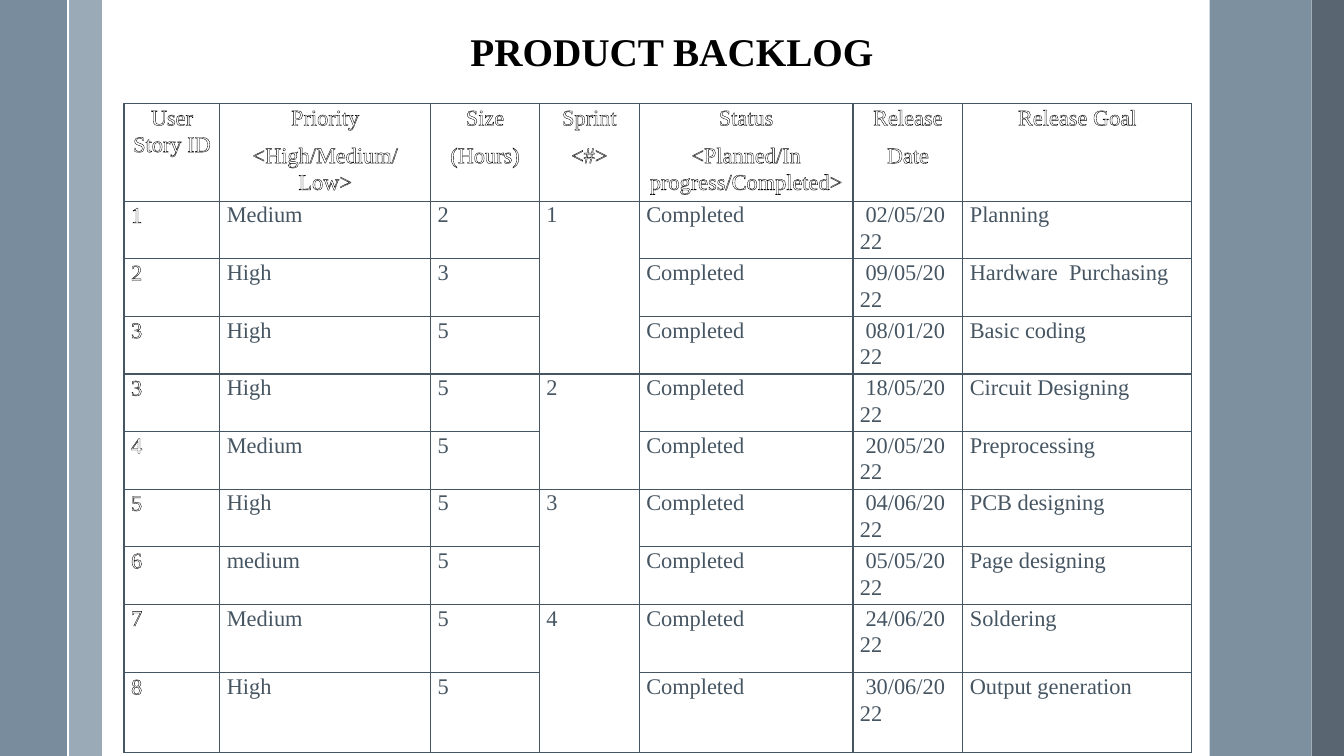
from dataclasses import dataclass
from itertools import groupby

from lxml.etree import SubElement
from pptx import Presentation
from pptx.dml.color import RGBColor
from pptx.enum.shapes import MSO_CONNECTOR, MSO_SHAPE
from pptx.enum.text import MSO_AUTO_SIZE, PP_ALIGN
from pptx.oxml.ns import qn
from pptx.slide import Slide
from pptx.table import Table, _Cell
from pptx.text.text import _Paragraph
from pptx.util import Inches, Pt

WIDTH, HEIGHT = Inches(13.33), Inches(7.5)
FONT = "Times New Roman"
WHITE, BLACK, SLATE = "FFFFFF", "000000", "465562"
HARD_SPACE = chr(160)  # keeps each date on the line it starts


@dataclass
class Band:
    left: float
    width: float
    color: str
    opacity: int = 100


@dataclass
class Column:
    heading: str
    width: float


@dataclass
class Story:
    number: str
    priority: str
    hours: str
    sprint: str
    release: str
    goal: str
    height: float = 7.62


# Widths, heights and positions are percentages of the slide
BANDS = [
    Band(5.1, 2.48, "9BAAB7"),
    Band(0, 5.03, "6A8093", 90),
    Band(90, 7.58, "6A8093", 87),
    Band(97.6, 2.48, "475562", 90),
]
COLUMNS = [
    Column("User Story ID", 7.13),
    Column("Priority\n<High/Medium/Low>", 15.68),
    Column("Size\n(Hours)", 8.1),
    Column("Sprint\n<#>", 7.43),
    Column("Status\n<Planned/In progress/Completed>", 15.9),
    Column("Release\nDate", 8.18),
    Column("Release Goal", 17.03),
]
HEADING_HEIGHT = 12.87
SPRINT_COLUMN = 3
STORIES = [
    Story("1", "Medium", "2", "1", "02/05/2022", "Planning"),
    Story("2", "High", "3", "1", "09/05/2022", "Hardware  Purchasing"),
    Story("3", "High", "5", "1", "08/01/2022", "Basic coding"),
    Story("3", "High", "5", "2", "18/05/2022", "Circuit Designing"),
    Story("4", "Medium", "5", "2", "20/05/2022", "Preprocessing"),
    Story("5", "High", "5", "3", "04/06/2022", "PCB designing"),
    Story("6", "medium", "5", "3", "05/05/2022", "Page designing"),
    Story("7", "Medium", "5", "4", "24/06/2022", "Soldering", 9.07),
    Story("8", "High", "5", "4", "30/06/2022", "Output generation", 10.53),
]


def across(percent: float) -> int:
    return round(WIDTH * percent / 100)


def down(percent: float) -> int:
    return round(HEIGHT * percent / 100)


def rgb(color: str) -> RGBColor:
    return RGBColor.from_string(color)


def style_text(para: _Paragraph, size: float, color: str, bold: bool = False) -> None:
    for span in para.runs:
        span.font.name = FONT
        span.font.size = Pt(size)
        span.font.bold = bold
        span.font.color.rgb = rgb(color)


def add_line_xml(parent, tag: str, points: float, color: str):
    line = SubElement(parent, qn(tag), w=str(Pt(points)))
    SubElement(SubElement(line, qn("a:solidFill")), qn("a:srgbClr"), val=color)
    return line


def draw_band(page: Slide, band: Band) -> None:
    shape = page.shapes.add_shape(
        MSO_SHAPE.RECTANGLE, across(band.left), 0, across(band.width), HEIGHT)
    shape.shadow.inherit = False
    shape.line.fill.background()
    shape.fill.solid()
    shape.fill.fore_color.rgb = rgb(band.color)
    if band.opacity < 100:
        tone = shape._element.spPr.find(".//" + qn("a:srgbClr"))
        SubElement(tone, qn("a:alpha"), val=str(band.opacity * 1000))


def draw_divider(page: Slide, left: float) -> None:
    divider = page.shapes.add_connector(
        MSO_CONNECTOR.STRAIGHT, across(left), 0, across(left), HEIGHT)
    divider.line.color.rgb = rgb(WHITE)
    divider.line.width = Pt(1.5)
    SubElement(divider._element.spPr, qn("a:effectLst"))


def draw_title(page: Slide, text: str) -> None:
    box = page.shapes.add_textbox(across(28.53), down(2.97), across(42.91), down(7.6))
    frame = box.text_frame
    frame.word_wrap = True
    frame.auto_size = MSO_AUTO_SIZE.SHAPE_TO_FIT_TEXT
    frame.text = text
    para = frame.paragraphs[0]
    para.alignment = PP_ALIGN.CENTER
    style_text(para, 28, BLACK, bold=True)


def fill_cell(cell: _Cell, text: str, outlined: bool, centred: bool) -> None:
    cell.margin_left = cell.margin_right = Inches(0.07)
    cell.margin_top = cell.margin_bottom = 0
    # Borders come before the fill in the cell's properties
    for side in "LRTB":
        add_line_xml(cell._tc.get_or_add_tcPr(), f"a:ln{side}", 1, SLATE)
    cell.fill.solid()
    cell.fill.fore_color.rgb = rgb(WHITE)
    cell.text_frame.text = text
    for para in cell.text_frame.paragraphs:
        para.alignment = PP_ALIGN.CENTER if centred else PP_ALIGN.LEFT
        para.line_spacing = 1.07
        para.space_after = Pt(8)
        style_text(para, 16, WHITE if outlined else SLATE)
        if outlined:
            for span in para.runs:
                properties = span.font._element
                properties.insert(0, add_line_xml(properties, "a:ln", 0.75, BLACK))


def merge_sprints(table: Table) -> None:
    first = 1
    for _, group in groupby(STORIES, key=lambda story: story.sprint):
        last = first + len(list(group)) - 1
        table.cell(first, SPRINT_COLUMN).merge(table.cell(last, SPRINT_COLUMN))
        first = last + 1


def draw_backlog(page: Slide) -> None:
    heights = [HEADING_HEIGHT] + [story.height for story in STORIES]
    table = page.shapes.add_table(
        len(heights), len(COLUMNS), across(9.23), down(13.73),
        across(sum(column.width for column in COLUMNS)), down(sum(heights))).table
    table.first_row = table.horz_banding = False
    for place, column in zip(table.columns, COLUMNS):
        place.width = across(column.width)
    for place, height in zip(table.rows, heights):
        place.height = down(height)

    # Heading row
    for index, column in enumerate(COLUMNS):
        fill_cell(table.cell(0, index), column.heading, outlined=True, centred=True)

    # Story rows; a sprint's number stands only in its first row
    previous = ""
    for row, story in enumerate(STORIES, start=1):
        sprint = "" if story.sprint == previous else story.sprint
        previous = story.sprint
        texts = [story.number, story.priority, story.hours, sprint,
                 "Completed", HARD_SPACE + story.release, story.goal]
        for index, text in enumerate(texts):
            outlined = index == 0 or (row == 1 and index == 0)
            fill_cell(table.cell(row, index), text, outlined=outlined, centred=False)
    merge_sprints(table)


def main() -> None:
    deck = Presentation()
    deck.slide_width, deck.slide_height = WIDTH, HEIGHT
    page = deck.slides.add_slide(deck.slide_layouts[6])

    # Side bands and divider
    for band in BANDS:
        draw_band(page, band)
    draw_divider(page, 5.03)

    # Title and backlog table
    draw_title(page, "PRODUCT BACKLOG")
    draw_backlog(page)
    deck.save("out.pptx")


if __name__ == "__main__":
    main()
